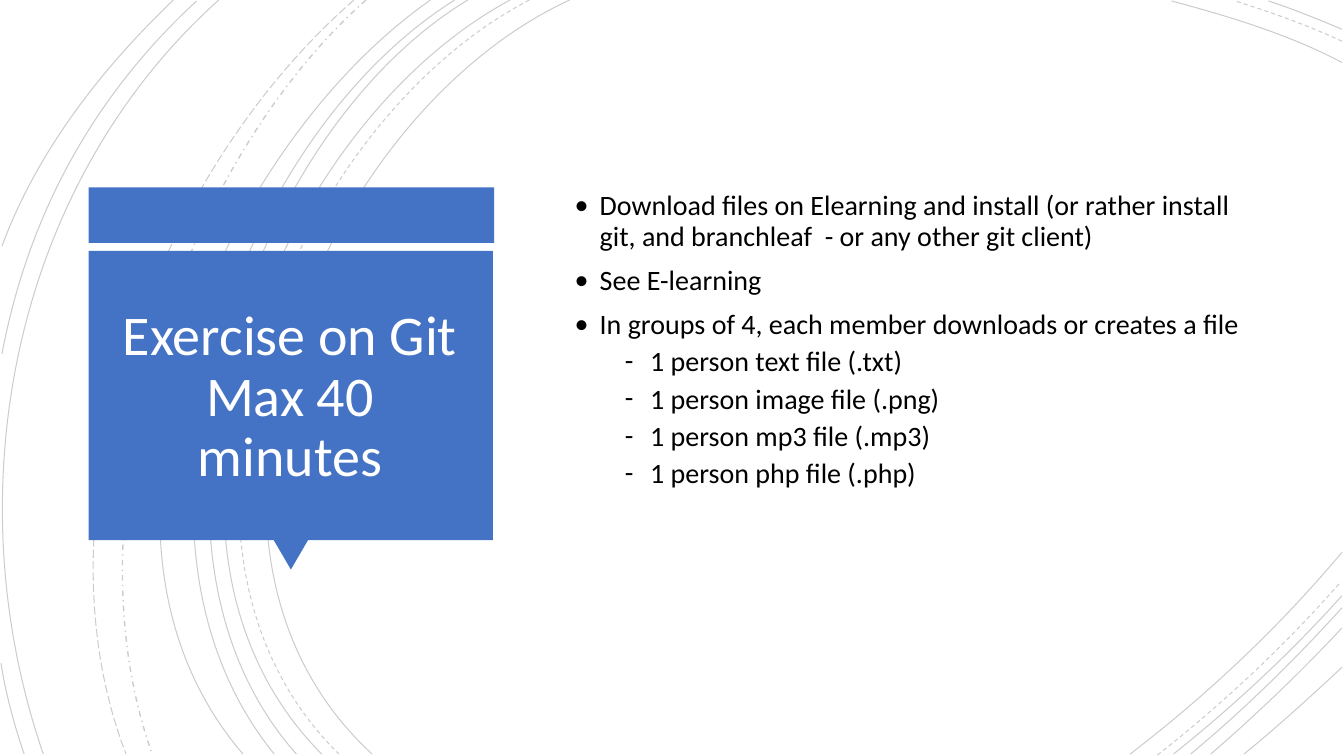
import pptx
import pptx.dml.color
import pptx.enum.dml
import pptx.enum.shapes
import pptx.enum.text
import pptx.oxml
import pptx.oxml.ns
import pptx.shapes.autoshape
import pptx.slide
import pptx.text.text
import pptx.util
from dataclasses import dataclass

EMU_PER_PX = 9144  # 100 px to the inch
FONT = "Calibri"
BLUE, BLACK, WHITE = "4472C4", "000000", "FFFFFF"
Point = tuple[int, int]
Preset = pptx.enum.shapes.MSO_SHAPE
Dash = pptx.enum.dml.MSO_LINE


@dataclass
class Arc:
    start: Point
    control_a: Point
    control_b: Point
    end: Point
    dash: Dash = Dash.SOLID
    width: float = 0.75


@dataclass
class Block:
    preset: Preset
    left: int
    top: int
    width: int
    height: int
    rotation: int = 0


@dataclass
class Item:
    text: str
    level: int = 0


@dataclass
class ListStyle:
    bullet: str
    indent: int
    space_before: int


ARCS = [
    Arc((565, 0), (315, 115), (143, 540), (369, 748)),
    Arc((1331, 62), (1278, 34), (1218, 16), (1162, 1)),
    Arc((1121, 748), (1197, 690), (1269, 622), (1331, 548)),
    Arc((525, 0), (285, 125), (123, 537), (336, 748), Dash.DASH),
    Arc((1331, 41), (1297, 25), (1260, 12), (1225, 1), Dash.DASH),
    Arc((1148, 749), (1213, 698), (1275, 640), (1330, 577), Dash.DASH),
    Arc((506, 0), (270, 127), (110, 537), (319, 748)),
    Arc((1331, 29), (1307, 19), (1283, 9), (1258, 1)),
    Arc((1164, 748), (1223, 701), (1280, 648), (1331, 591)),
    Arc((464, 0), (244, 133), (110, 541), (294, 748)),
    Arc((1181, 748), (1234, 704), (1284, 655), (1331, 603)),
    Arc((451, 0), (231, 138), (97, 533), (272, 748)),
    Arc((1201, 748), (1246, 709), (1290, 667), (1331, 623)),
    Arc((427, 0), (217, 147), (53, 529), (241, 748)),
    Arc((1234, 748), (1267, 721), (1299, 692), (1331, 662)),
    Arc((363, 0), (176, 166), (65, 509), (151, 748), Dash.DASH_DOT, 1),
    Arc((351, 0), (157, 169), (29, 499), (125, 748), Dash.LONG_DASH),
    Arc((217, 0), (11, 185), (-46, 490), (43, 748)),
    Arc((195, 1), (92, 96), (28, 214), (2, 351)),
    Arc((1, 658), (6, 689), (14, 719), (24, 748)),
    Arc((172, 0), (100, 69), (37, 150), (2, 244)),
]
BLOCKS = [
    Block(Preset.RECTANGLE, 88, 186, 402, 55),
    Block(Preset.ISOSCELES_TRIANGLE, 271, 535, 35, 30, rotation=180),
    Block(Preset.RECTANGLE, 88, 249, 401, 287),
]
TITLE_LINES = ["Exercise on Git", "Max 40 minutes"]
ITEMS = [
    Item("Download files on Elearning and install (or rather install git, and branchleaf  - or any other git client)"),
    Item("See E-learning"),
    Item("In groups of 4, each member downloads or creates a file"),
    Item("1 person text file (.txt)", 1),
    Item("1 person image file (.png)", 1),
    Item("1 person mp3 file (.mp3)", 1),
    Item("1 person php file (.php)", 1),
]
LIST_STYLES = [ListStyle("•", 25, 10), ListStyle("-", 75, 5)]
HANGING = 25


def px(length: int) -> int:
    return pptx.util.Emu(length * EMU_PER_PX)


def color(value: str) -> pptx.dml.color.RGBColor:
    return pptx.dml.color.RGBColor.from_string(value)


def add_child(parent, tag: str, **attributes: str):
    child = pptx.oxml.parse_xml(f'<{tag} {pptx.oxml.ns.nsdecls("a")}/>')
    for name, value in attributes.items():
        child.set(name, value)
    parent.append(child)
    return child


def add_arc(page: pptx.slide.Slide, arc: Arc) -> None:
    """Draw one cubic curve: the builder's three straight segments become its control points."""
    builder = page.shapes.build_freeform(*arc.start, scale=EMU_PER_PX)
    builder.add_line_segments([arc.control_a, arc.control_b, arc.end], close=False)
    shape = builder.convert_to_shape()
    outline = next(shape.element.iter(pptx.oxml.ns.qn("a:path")))
    segments = outline.findall(pptx.oxml.ns.qn("a:lnTo"))
    curve = add_child(outline, "a:cubicBezTo")
    for segment in segments:
        curve.append(segment[0])
        outline.remove(segment)
    shape.shadow.inherit = False
    shape.fill.background()
    shape.line.width = pptx.util.Pt(arc.width)
    shape.line.color.rgb = color(BLACK)
    shape.line.dash_style = arc.dash
    line_color = next(shape.element.iter(pptx.oxml.ns.qn("a:srgbClr")))
    add_child(line_color, "a:alpha", val="20000")


def add_block(page: pptx.slide.Slide, block: Block) -> None:
    shape = page.shapes.add_shape(
        block.preset, px(block.left), px(block.top), px(block.width), px(block.height)
    )
    shape.rotation = block.rotation
    shape.shadow.inherit = False
    shape.fill.solid()
    shape.fill.fore_color.rgb = color(BLUE)
    shape.line.fill.background()


def add_text_frame(
    page: pptx.slide.Slide, left: int, top: int, width: int, height: int
) -> pptx.text.text.TextFrame:
    frame = page.shapes.add_textbox(px(left), px(top), px(width), px(height)).text_frame
    frame.word_wrap = True
    frame.vertical_anchor = pptx.enum.text.MSO_ANCHOR.MIDDLE
    return frame


def add_span(para, text: str, size: int, font_color: str) -> None:
    span = para.add_run()
    span.text = text
    span.font.name = FONT
    span.font.size = pptx.util.Pt(size)
    span.font.color.rgb = color(font_color)


def add_title(page: pptx.slide.Slide) -> None:
    para = add_text_frame(page, 99, 264, 377, 262).paragraphs[0]
    para.alignment = pptx.enum.text.PP_ALIGN.CENTER
    para.line_spacing = 0.9
    for index, line in enumerate(TITLE_LINES):
        if index:
            para.add_line_break()
        add_span(para, line, 40, WHITE)


def add_list(page: pptx.slide.Slide) -> None:
    frame = add_text_frame(page, 560, 88, 687, 500)
    for index, item in enumerate(ITEMS):
        para = frame.add_paragraph() if index else frame.paragraphs[0]
        style = LIST_STYLES[item.level]
        para.level = item.level
        para.line_spacing = 0.9
        para.space_before = pptx.util.Pt(style.space_before)
        properties = para._p.get_or_add_pPr()
        properties.set("marL", str(px(style.indent)))
        properties.set("indent", str(px(-HANGING)))
        add_child(properties, "a:buFont", typeface=FONT)
        add_child(properties, "a:buChar", char=style.bullet)
        add_span(para, item.text, 20, BLACK)


def main() -> None:
    deck = pptx.Presentation()
    deck.slide_width, deck.slide_height = px(1333), px(750)
    page = deck.slides.add_slide(deck.slide_layouts[6])
    for arc in ARCS:
        add_arc(page, arc)
    for block in BLOCKS:
        add_block(page, block)
    add_title(page)
    add_list(page)
    deck.save("out.pptx")


if __name__ == "__main__":
    main()
